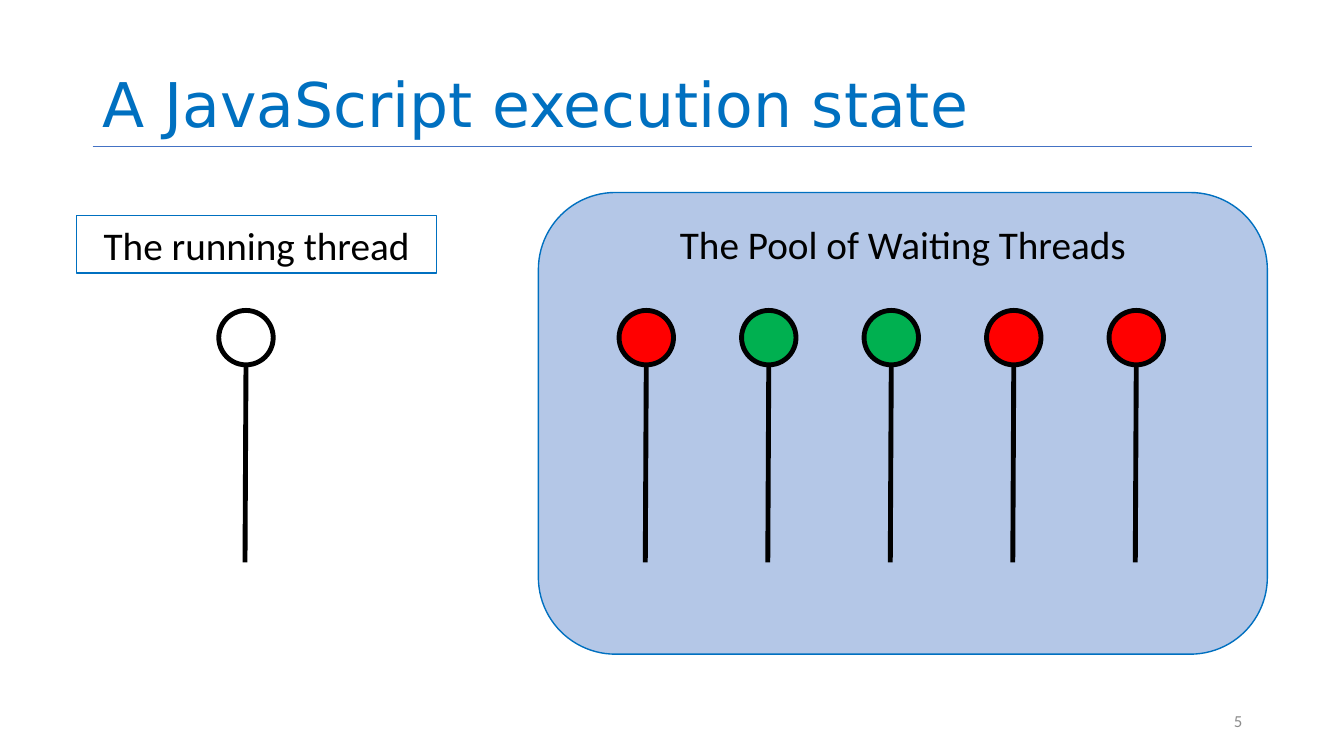
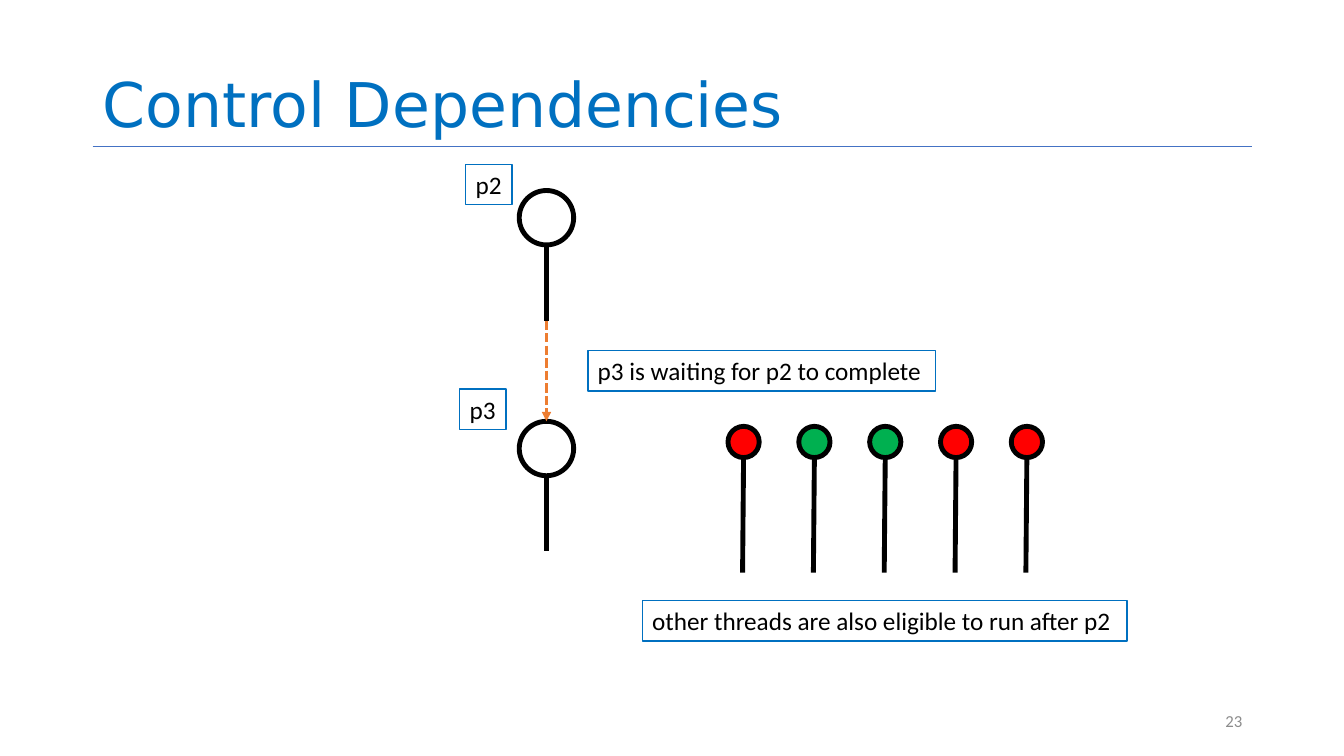
from lxml import etree
from pptx import Presentation
from pptx.dml.color import RGBColor
from pptx.enum import dml, shapes, text
from pptx.oxml import ns
from pptx.util import Inches, Pt

BLUE, RULE, ORANGE = "0070C0", "4472C4", "ED7D31"
BLACK, GRAY, POOL = "000000", "8C8C8C", "B4C7E7"
RED, GREEN = "FF0000", "00B050"
BODY_FONT, TITLE_FONT = "Calibri", "DejaVu Sans"
WAITING = [RED, GREEN, GREEN, RED, RED]
LEFT, WIDTH, RULE_Y = 0.92, 11.5, 1.45
SHAPE = shapes.MSO_SHAPE
ALIGN, ANCHOR = text.PP_ALIGN, text.MSO_ANCHOR


def paint(target, color):
    """Colour a font, or give a fill or line a solid colour."""
    fill = target.fill
    fill.solid()
    fill.fore_color.rgb = RGBColor.from_string(color)


def write(box, words, size, color=BLACK, font=BODY_FONT,
          align=ALIGN.LEFT, anchor=ANCHOR.MIDDLE, wrap=True):
    frame = box.text_frame
    frame.word_wrap = wrap
    frame.vertical_anchor = anchor
    para = frame.paragraphs[0]
    para.text = words
    para.alignment = align
    para.font.size = Pt(size)
    para.font.name = font
    paint(para.font, color)
    return para


def add_text(page, box, *args, **style):
    return write(page.shapes.add_textbox(*map(Inches, box)), *args, **style)


def add_shape(parent, kind, box, line, weight, fill=None):
    shape = parent.shapes.add_shape(kind, *map(Inches, box))
    shape.shadow.inherit = False
    if fill:
        paint(shape, fill)
    else:
        shape.fill.background()
    paint(shape.line, line)
    shape.line.width = Pt(weight)
    return shape


def add_line(parent, start, end, color, weight):
    line = parent.shapes.add_connector(
        shapes.MSO_CONNECTOR.STRAIGHT, *map(Inches, (*start, *end)))
    paint(line.line, color)
    line.line.width = Pt(weight)
    etree.SubElement(line._element.spPr, ns.qn("a:effectLst"))
    return line


def add_arrow(page, start, end):
    """Dashed arrow that marks a dependency."""
    arrow = add_line(page, start, end, ORANGE, 2.25)
    arrow.line.dash_style = dml.MSO_LINE.SQUARE_DOT
    etree.SubElement(arrow.line._get_or_add_ln(), ns.qn("a:tailEnd"), type="triangle")


def add_label(page, box, words, size=18, align=ALIGN.LEFT, wrap=False):
    """Blue-framed label that grows with its text."""
    label = add_shape(page, SHAPE.RECTANGLE, box, BLUE, 1)
    write(label, words, size, align=align, wrap=wrap)
    label.text_frame.auto_size = text.MSO_AUTO_SIZE.SHAPE_TO_FIT_TEXT


def add_thread(page, left, top, size, length, fill=None, lean=0.01):
    """A round head with a stem below it, grouped."""
    group = page.shapes.add_group_shape()
    add_shape(group, SHAPE.OVAL, (left, top, size, size), BLACK, 3.5, fill)
    center, neck = left + size / 2, top + size
    add_line(group, (center, neck), (center - lean, neck + length), BLACK, 3.5)


def add_waiting_threads(page, left, top, last, size, length):
    """Evenly spaced threads; last is the left edge of the final one."""
    step = (last - left) / (len(WAITING) - 1)
    for index, color in enumerate(WAITING):
        add_thread(page, left + index * step, top, size, length, color)


def add_page(deck, title, number):
    """Blank page with the shared rule, title and page number."""
    page = deck.slides.add_slide(deck.slide_layouts[6])
    add_line(page, (LEFT, RULE_Y), (LEFT + WIDTH, RULE_Y), RULE, 0.5)
    para = add_text(page, (LEFT, 0, WIDTH, RULE_Y), title, 44, BLUE,
                    TITLE_FONT, anchor=ANCHOR.BOTTOM)
    para.line_spacing = 0.9
    add_text(page, (9.42, 6.95, 3, 0.4), number, 12, GRAY, align=ALIGN.RIGHT)
    return page


def build_execution_state(deck):
    page = add_page(deck, "A JavaScript execution state", "5")
    # Pool of waiting threads
    left, top = 5.34, 1.91
    pool = add_shape(page, SHAPE.ROUNDED_RECTANGLE, (left, top, 7.23, 4.58),
                     BLUE, 1, POOL)
    write(pool, "The Pool of Waiting Threads", 28, align=ALIGN.CENTER,
          anchor=ANCHOR.TOP)
    add_waiting_threads(page, left + 0.8, top + 1.17, left + 5.66, 0.54, 1.96)
    # Running thread
    add_label(page, (0.76, 2.14, 3.57, 0.57), "The running thread", 28,
              ALIGN.CENTER, wrap=True)
    add_thread(page, 2.17, top + 1.17, 0.54, 1.96)


def build_dependencies(deck):
    page = add_page(deck, "Control Dependencies", "23")
    # Dependent threads, one above the other
    left, size, stem = 5.15, 0.54, 0.75
    center, first, second = left + size / 2, 1.89, 4.18
    for top in (first, second):
        add_thread(page, left, top, size, stem, lean=0)
    add_arrow(page, (center, first + size + stem), (center, second))
    add_label(page, (4.62, 1.63, 0.46, 0.4), "p2")
    add_label(page, (4.56, 3.86, 0.46, 0.4), "p3")
    add_label(page, (5.83, 3.48, 3.45, 0.4), "p3 is waiting for p2 to complete")
    # Other threads
    add_waiting_threads(page, 7.22, 4.23, 10.03, 0.31, 1.14)
    add_label(page, (6.37, 5.96, 4.81, 0.4),
              "other threads are also eligible to run after p2")


def main():
    deck = Presentation()
    deck.slide_width, deck.slide_height = Inches(13.33), Inches(7.5)
    build_execution_state(deck)
    build_dependencies(deck)
    deck.save("out.pptx")


if __name__ == "__main__":
    main()
